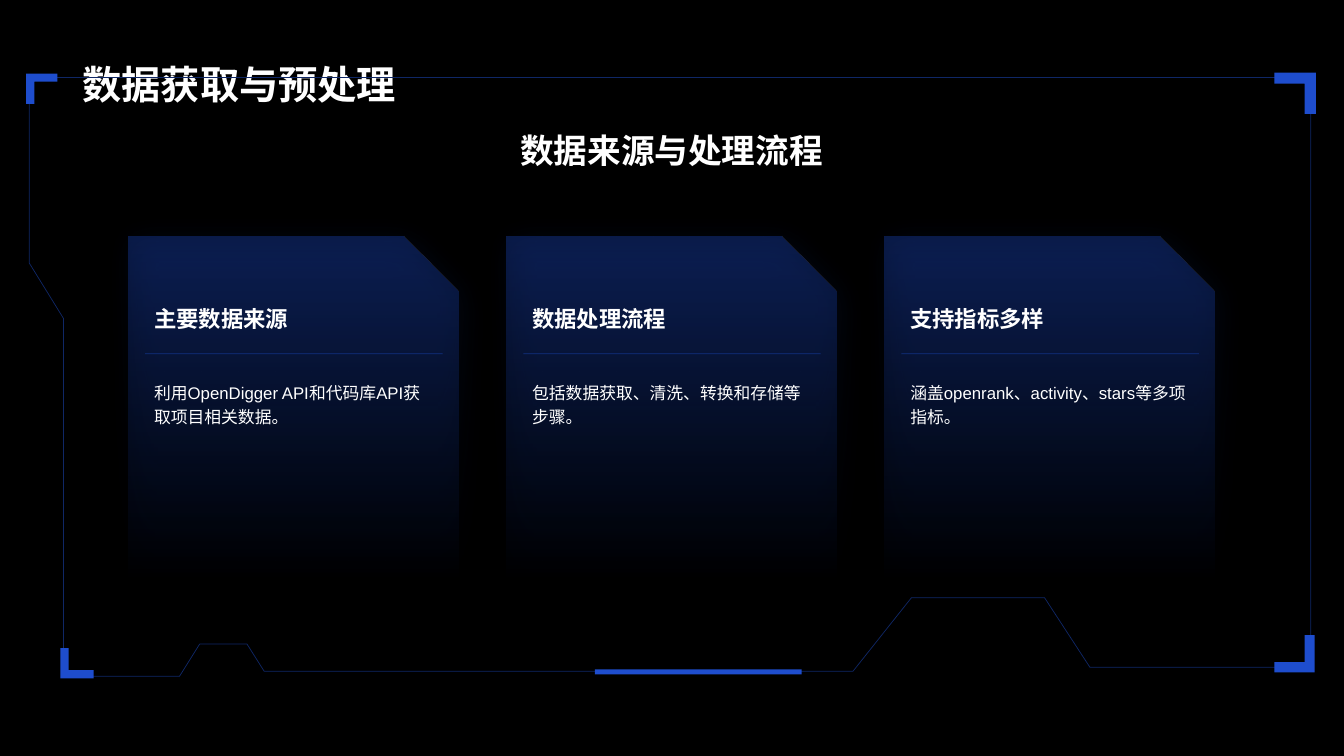
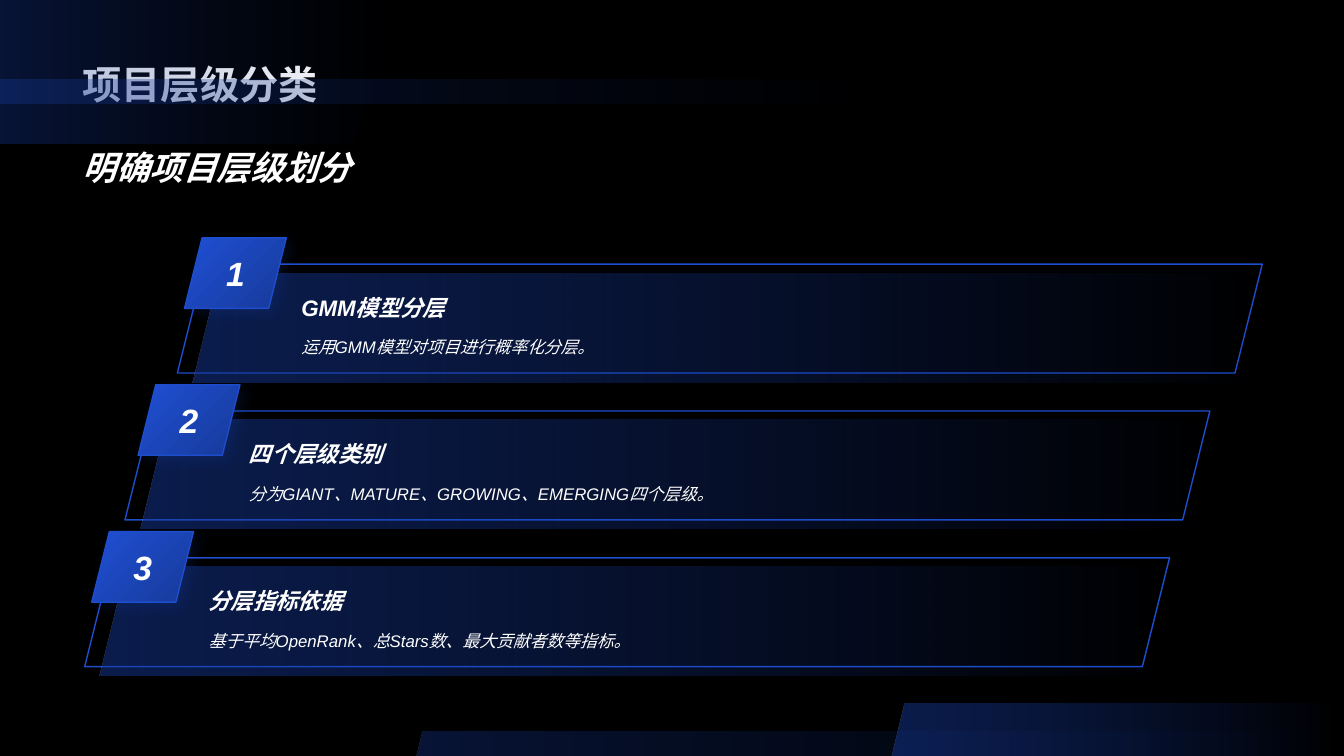
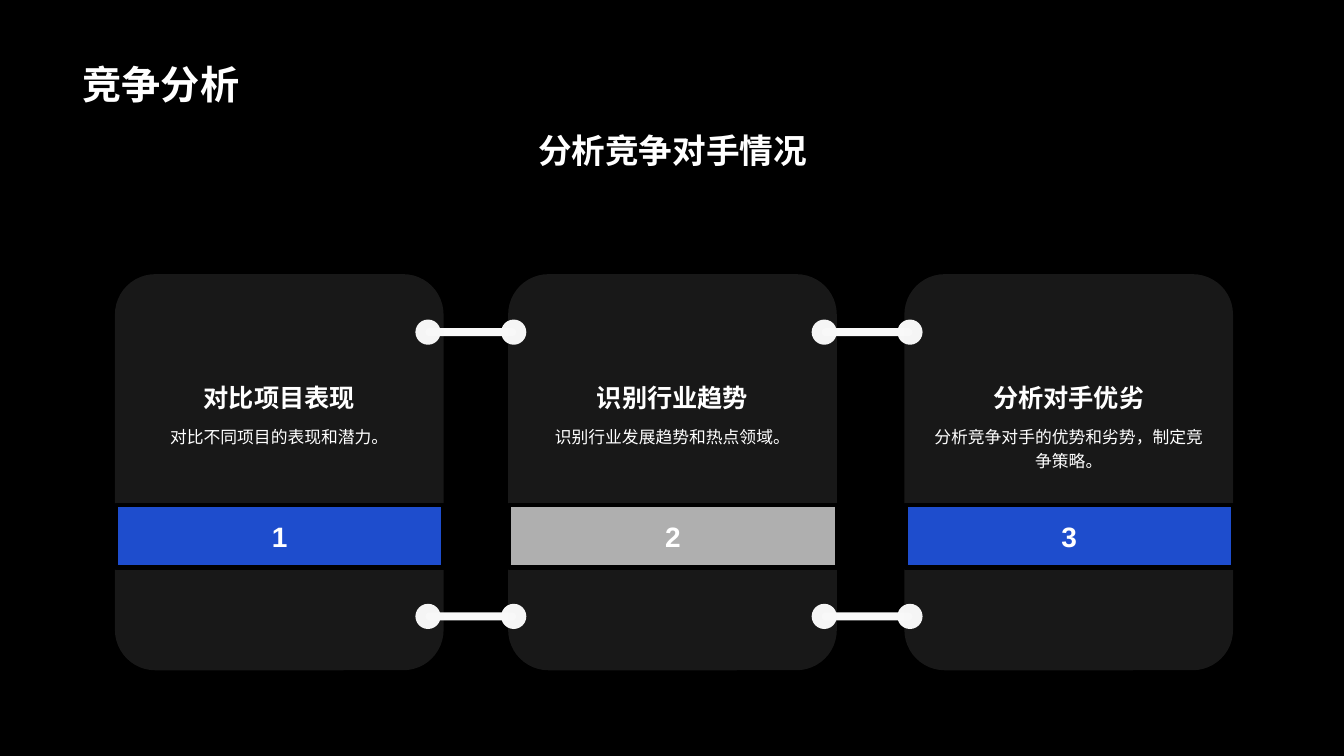
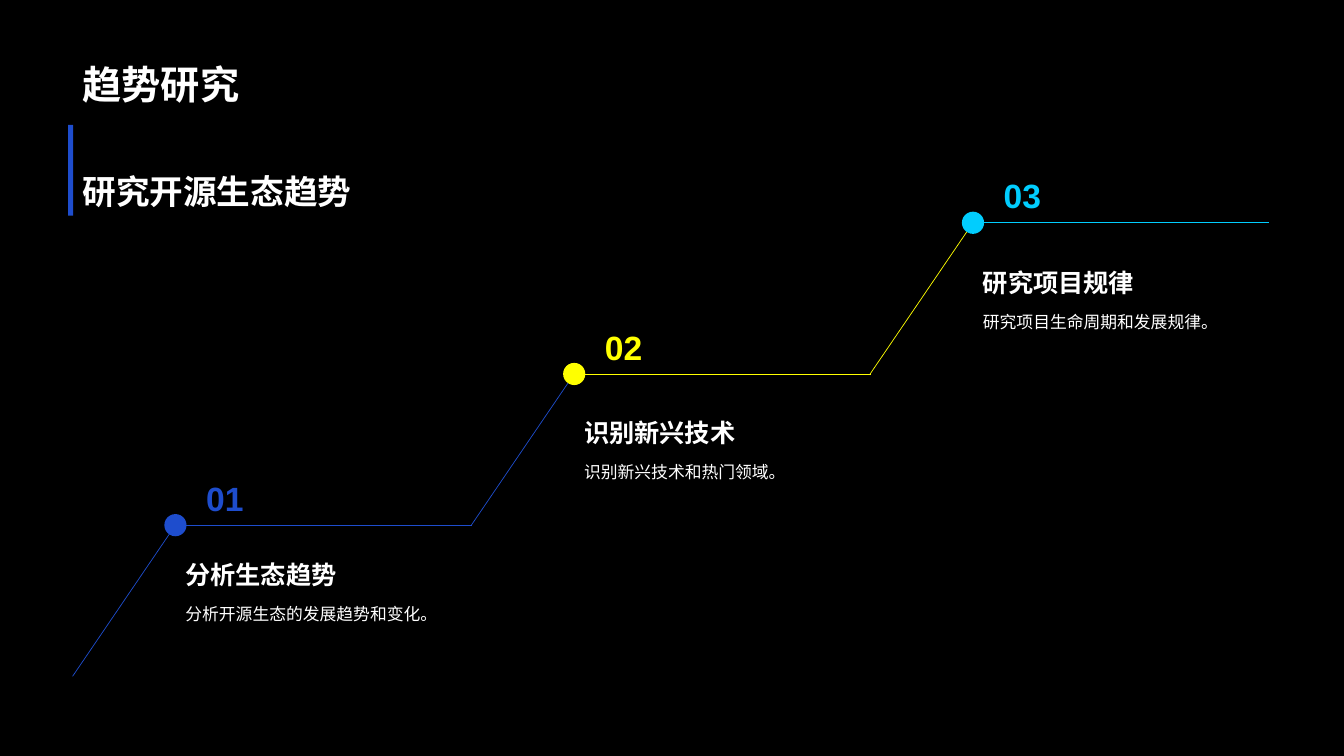
import pptx
import pptx.util
import pptx.dml.color
import pptx.enum.lang
import pptx.enum.shapes
import pptx.enum.text
import pptx.oxml.ns
from lxml import etree

Inches, Pt = pptx.util.Inches, pptx.util.Pt
SHAPE = pptx.enum.shapes.MSO_SHAPE
ALIGN = pptx.enum.text.PP_ALIGN
ANCHOR = pptx.enum.text.MSO_ANCHOR
qn = pptx.oxml.ns.qn

FONT = "Arial"
COLOR = {
    "background": "000000", "text": "FFFFFF", "blue": "1E4DCD", "mid_blue": "173A9A",
    "navy": "0F2766", "gray": "F0F0F0", "dot": "F6F6F6", "link": "F9F9F9",
    "yellow": "FFFF00", "cyan": "01CDFE",
}
# Gradients: stops of (position %, colour, opacity %) and clockwise angle
CARD_FADE = ([(0, "blue", 0), (100, "blue", 34)], 270)
BAND_FADE = ([(0, "mid_blue", 36), (100, "navy", 0)], 0)
ROW_FADE = ([(0, "mid_blue", 51), (100, "blue", 0)], 0)
BADGE_FADE = ([(0, "mid_blue", 100), (89, "blue", 100)], 225)
# Shadows: opacity %, blur pt, distance pt, angle
CARD_SHADOW = (29, 21, 4, 40)
BADGE_SHADOW = (15, 10, 5, 45)

SOURCES = {
    "title": "数据获取与预处理",
    "subtitle": "数据来源与处理流程",
    "cards": [
        ("主要数据来源", "利用OpenDigger API和代码库API获取项目相关数据。"),
        ("数据处理流程", "包括数据获取、清洗、转换和存储等步骤。"),
        ("支持指标多样", "涵盖openrank、activity、stars等多项指标。"),
    ],
}
FRAME = [
    (0.63, 6.71), (0.63, 3.16), (0.29, 2.61), (0.29, 0.77), (13, 0.77), (13, 6.62),
    (10.81, 6.62), (10.36, 5.93), (9.04, 5.93), (8.46, 6.66), (2.62, 6.66),
    (2.45, 6.39), (1.98, 6.39), (1.78, 6.71),
]
# Corner x, y, signed arm lengths, thickness
BRACKETS = [
    (0.26, 0.73, 0.31, 0.3, 0.08), (13.05, 0.72, -0.41, 0.41, 0.11),
    (0.6, 6.73, 0.33, -0.3, 0.08), (13.04, 6.67, -0.4, -0.37, 0.1),
]

LEVELS = {
    "title": "项目层级分类",
    "subtitle": "明确项目层级划分",
    "rows": [
        (1.76, "GMM模型分层", "运用GMM模型对项目进行概率化分层。"),
        (1.24, "四个层级类别", "分为GIANT、MATURE、GROWING、EMERGING四个层级。"),
        (0.84, "分层指标依据", "基于平均OpenRank、总Stars数、最大贡献者数等指标。"),
    ],
}
BANDS = [
    ([(0, 0), (3.94, 0), (3.49, 1.42), (0, 1.42)], BAND_FADE),
    ([(8.97, 6.98), (13.33, 6.98), (13.33, 7.5), (8.84, 7.5)], ROW_FADE),
    ([(4.19, 7.26), (13.33, 7.26), (13.33, 7.5), (4.13, 7.5)], BAND_FADE),
    ([(0, 0.79), (8.84, 0.79), (8.84, 1.03), (0, 1.03)], BAND_FADE),
]

RIVALS = {
    "title": "竞争分析",
    "subtitle": "分析竞争对手情况",
    "cards": [
        (1.14, "blue", 100, "对比项目表现", "对比不同项目的表现和潜力。"),
        (5.04, "gray", 70, "识别行业趋势", "识别行业发展趋势和热点领域。"),
        (8.97, "blue", 100, "分析对手优劣", "分析竞争对手的优势和劣势，制定竞争策略。"),
    ],
}

TRENDS = {
    "title": "趋势研究",
    "subtitle": "研究开源生态趋势",
    "steps": [
        ("blue", 0.17, "分析生态趋势", "分析开源生态的发展趋势和变化。"),
        ("yellow", 0.26, "识别新兴技术", "识别新兴技术和热门领域。"),
        ("cyan", 0.27, "研究项目规律", "研究项目生命周期和发展规律。"),
    ],
}


def rgb(name):
    return pptx.dml.color.RGBColor.from_string(COLOR[name])


def set_alpha(color_element, opacity):
    if opacity < 100:
        etree.SubElement(color_element, qn("a:alpha"), val=str(opacity * 1000))


def box(left, top, width, height):
    return Inches(left), Inches(top), Inches(width), Inches(height)


def paint(shape, fill=None, opacity=100, line=None, line_width=1, shadow=None):
    """Fill is a colour name, a gradient tuple or None."""
    properties = shape._element.spPr
    if fill is None:
        shape.fill.background()
    elif isinstance(fill, str):
        shape.fill.solid()
        shape.fill.fore_color.rgb = rgb(fill)
        set_alpha(properties.find(".//" + qn("a:srgbClr")), opacity)
    else:
        stops, angle = fill
        shape.fill.gradient()
        shape.fill.gradient_angle = (360 - angle) % 360
        for stop, (position, color, _) in zip(shape.fill.gradient_stops, stops):
            stop.position = position / 100
            stop.color.rgb = rgb(color)
        for element, stop in zip(properties.findall(".//" + qn("a:srgbClr")), stops):
            set_alpha(element, stop[2])
    if line:
        shape.line.color.rgb = rgb(line)
        shape.line.width = Pt(line_width)
    else:
        shape.line.fill.background()
    shape.shadow.inherit = False
    if shadow:
        opacity, blur, distance, angle = shadow
        outer = etree.SubElement(
            properties.find(qn("a:effectLst")), qn("a:outerShdw"), blurRad=str(Pt(blur)),
            dist=str(Pt(distance)), dir=str(angle * 60000), algn="tl", rotWithShape="0")
        set_alpha(etree.SubElement(outer, qn("a:srgbClr"), val=COLOR["blue"]), opacity)
    return shape


def add_shape(slide, kind, place, **style):
    return paint(slide.shapes.add_shape(kind, *box(*place)), **style)


def add_outline(slide, points, **style):
    points = [(Inches(x), Inches(y)) for x, y in points]
    builder = slide.shapes.build_freeform(*points[0], scale=1.0)
    builder.add_line_segments(points[1:], close=True)
    return paint(builder.convert_to_shape(), **style)


def add_line(slide, start, end, color, opacity=100):
    line = slide.shapes.add_connector(
        pptx.enum.shapes.MSO_CONNECTOR.STRAIGHT, *map(Inches, start + end))
    line.line.color.rgb = rgb(color)
    line.line.width = Pt(0.5)
    properties = line._element.spPr
    set_alpha(properties.find(".//" + qn("a:srgbClr")), opacity)
    etree.SubElement(properties, qn("a:effectLst"))


def write(shape, text, size, bold=False, italic=False, color="text", align=ALIGN.LEFT,
          anchor=ANCHOR.TOP, spacing=1.0, wrap=True):
    frame = shape.text_frame
    frame.text = text
    frame.word_wrap = wrap
    frame.auto_size = pptx.enum.text.MSO_AUTO_SIZE.NONE
    frame.vertical_anchor = anchor
    paragraph = frame.paragraphs[0]
    paragraph.alignment = align
    paragraph.line_spacing = spacing
    font = paragraph.runs[0].font
    font.name, font.size, font.bold, font.italic = FONT, Pt(size), bold, italic
    font.color.rgb = rgb(color)
    font.language_id = pptx.enum.lang.MSO_LANGUAGE_ID.SIMPLIFIED_CHINESE


def add_text(slide, place, text, size, **style):
    write(slide.shapes.add_textbox(*box(*place)), text, size, **style)


def add_heading(slide, place, text, size, **style):
    add_text(slide, place, text, size, bold=True, anchor=ANCHOR.BOTTOM, **style)


def add_body(slide, place, text, **style):
    add_text(slide, place, text, 12, spacing=1.2, **style)


def write_number(shape, text, size, **style):
    write(shape, text, size, bold=True, align=ALIGN.CENTER, anchor=ANCHOR.MIDDLE,
          wrap=False, **style)


def add_slide(presentation, title):
    slide = presentation.slides.add_slide(presentation.slide_layouts[5])
    write(slide.shapes.title, title, 28, bold=True, anchor=ANCHOR.BOTTOM)
    return slide


def build_sources(presentation):
    slide = add_slide(presentation, SOURCES["title"])
    add_text(slide, (0.72, 1.24, 11.88, 1), SOURCES["subtitle"], 24, bold=True,
             align=ALIGN.CENTER)
    add_outline(slide, FRAME, line="navy", line_width=0.5)
    for x, y, across, down, thick in BRACKETS:
        inner_x = x + (thick if across > 0 else -thick)
        inner_y = y + (thick if down > 0 else -thick)
        add_outline(slide, [
            (x + across, y), (x, y), (x, y + down), (inner_x, y + down),
            (inner_x, inner_y), (x + across, inner_y)], fill="blue")
    add_shape(slide, SHAPE.RECTANGLE, (5.9, 6.64, 2.05, 0.05), fill="blue")
    for index, (heading, body) in enumerate(SOURCES["cards"]):
        left = 1.27 + 3.75 * index
        add_shape(slide, SHAPE.SNIP_1_RECTANGLE, (left, 2.35, 3.28, 3.47),
                  fill=CARD_FADE, shadow=CARD_SHADOW)
        add_heading(slide, (left + 0.16, 2.63, 2.97, 0.71), heading, 16)
        add_body(slide, (left + 0.16, 3.71, 2.97, 1.91), body)
        add_line(slide, (left + 0.17, 3.51), (left + 3.12, 3.51), "blue", opacity=50)


def build_levels(presentation):
    slide = add_slide(presentation, LEVELS["title"])
    for points, fade in BANDS:
        add_outline(slide, points, fill=fade)
    add_text(slide, (0.72, 1.24, 11.88, 0.84), LEVELS["subtitle"], 24, bold=True,
             italic=True, anchor=ANCHOR.MIDDLE)
    for index, (left, heading, body) in enumerate(LEVELS["rows"]):
        top = 2.62 + 1.457 * index
        add_shape(slide, SHAPE.PARALLELOGRAM, (left, top, 10.76, 1.08), line="blue")
        add_shape(slide, SHAPE.PARALLELOGRAM, (left + 0.15, top + 0.09, 10.69, 1.08),
                  fill=ROW_FADE)
        add_heading(slide, (left + 1.13, top + 0.14, 9, 0.47), heading, 16, italic=True)
        add_body(slide, (left + 1.13, top + 0.63, 9, 0.49), body, italic=True)
        badge = add_shape(
            slide, SHAPE.PARALLELOGRAM, (1.83 - 0.46 * index, top - 0.26, 1.01, 0.7),
            fill=BADGE_FADE, line="blue", shadow=BADGE_SHADOW)
        write_number(badge, str(index + 1), 24, italic=True)


def build_rivals(presentation):
    slide = add_slide(presentation, RIVALS["title"])
    for card in RIVALS["cards"][1:]:
        left = card[0] - 0.92
        for top in (3.17, 5.99):
            for dot_left in (left, left + 0.85):
                add_shape(slide, SHAPE.OVAL, (dot_left, top, 0.25, 0.25), fill="dot")
            link = add_shape(slide, SHAPE.ROUNDED_RECTANGLE,
                             (left + 0.1, top + 0.085, 0.9, 0.08), fill="link")
            link.adjustments[0] = 0.5
    add_text(slide, (0.74, 1.24, 11.86, 1.21), RIVALS["subtitle"], 24, bold=True,
             align=ALIGN.CENTER)
    for number, (left, color, opacity, heading, body) in enumerate(RIVALS["cards"], 1):
        card = add_shape(slide, SHAPE.ROUNDED_RECTANGLE, (left, 2.72, 3.26, 3.93),
                         fill="gray", opacity=10)
        card.adjustments[0] = 0.123
        strip = add_shape(slide, SHAPE.RECTANGLE, (left + 0.01, 5.01, 3.25, 0.62),
                          fill=color, opacity=opacity, line="background", line_width=3)
        write_number(strip, str(number), 20)
        add_body(slide, (left + 0.12, 4.14, 3.02, 0.84), body, align=ALIGN.CENTER)
        add_heading(slide, (left + 0.12, 3.55, 3.02, 0.59), heading, 18,
                    align=ALIGN.CENTER)


def build_trends(presentation):
    slide = add_slide(presentation, TRENDS["title"])
    add_heading(slide, (0.72, 1.24, 8.93, 0.9), TRENDS["subtitle"], 24)
    add_shape(slide, SHAPE.RECTANGLE, (0.675, 1.24, 0.05, 0.9), fill="blue")
    rise_color = "blue"
    for index, (color, gap, heading, body) in enumerate(TRENDS["steps"]):
        x, y = 1.74 + 3.955 * index, 5.21 - 1.5 * index
        add_line(slide, (x - 1.02, y + 1.5), (x, y), rise_color)
        add_line(slide, (x, y), (x + 2.94, y), color)
        add_shape(slide, SHAPE.OVAL, (x - 0.11, y - 0.11, 0.22, 0.22), fill=color)
        add_heading(slide, (x, y + gap, 2.95, 0.52), heading, 18)
        add_body(slide, (x, y + gap + 0.52, 2.95, 0.75), body)
        number = slide.shapes.add_textbox(*box(x + 0.2, y - 0.52, 0.58, 0.5))
        write_number(number, f"{index + 1:02}", 24, color=color)
        rise_color = color


def main():
    presentation = pptx.Presentation()
    presentation.slide_width, presentation.slide_height = Inches(13.33), Inches(7.5)
    background = presentation.slide_master.background.fill
    background.solid()
    background.fore_color.rgb = rgb("background")
    title = presentation.slide_layouts[5].placeholders[0]
    title.left, title.top, title.width, title.height = box(0.72, 0.14, 11.88, 0.98)
    for build in (build_sources, build_levels, build_rivals, build_trends):
        build(presentation)
    presentation.save("out.pptx")


if __name__ == "__main__":
    main()
